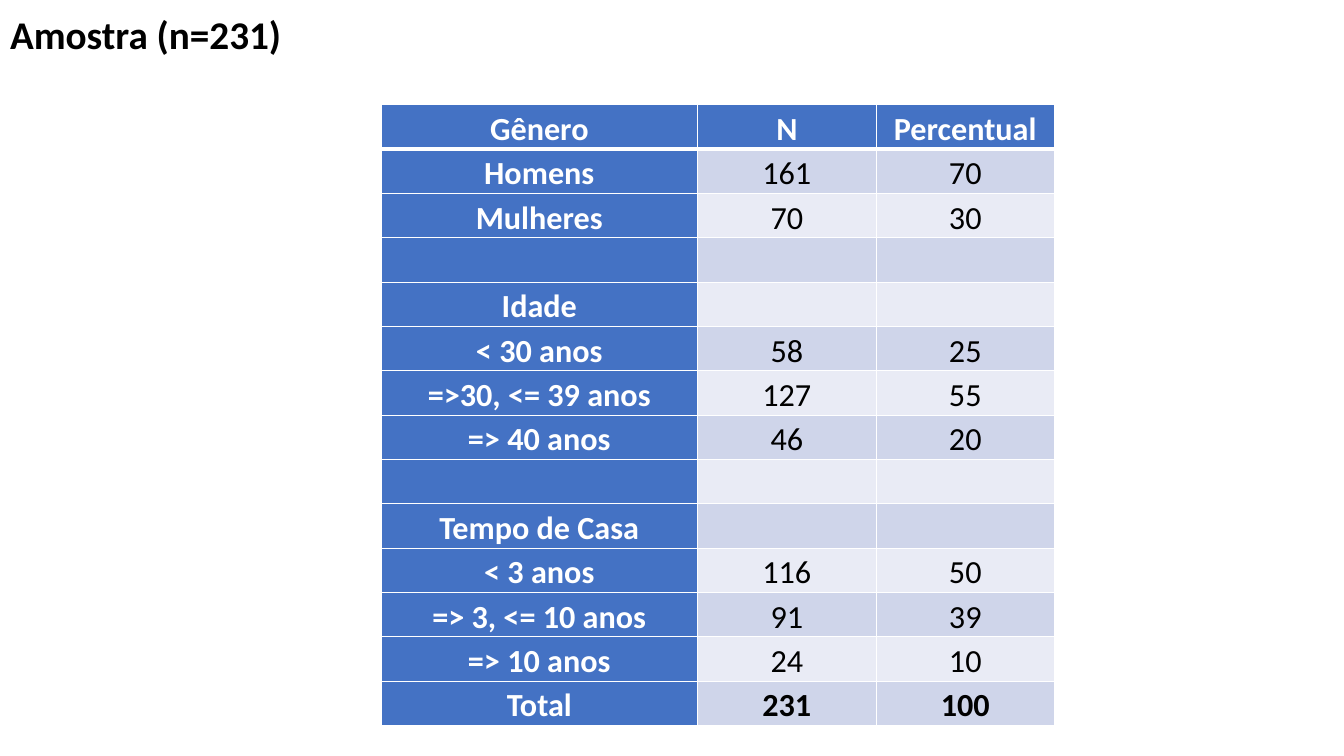
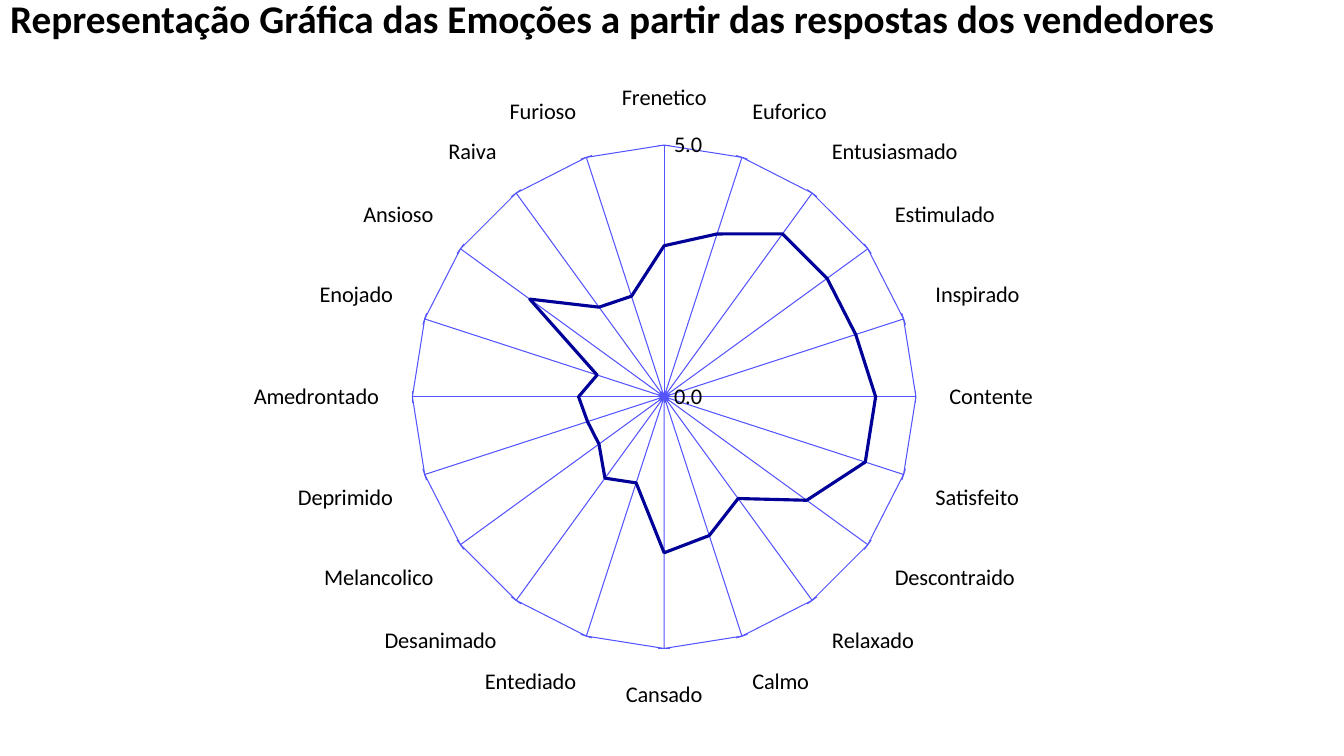
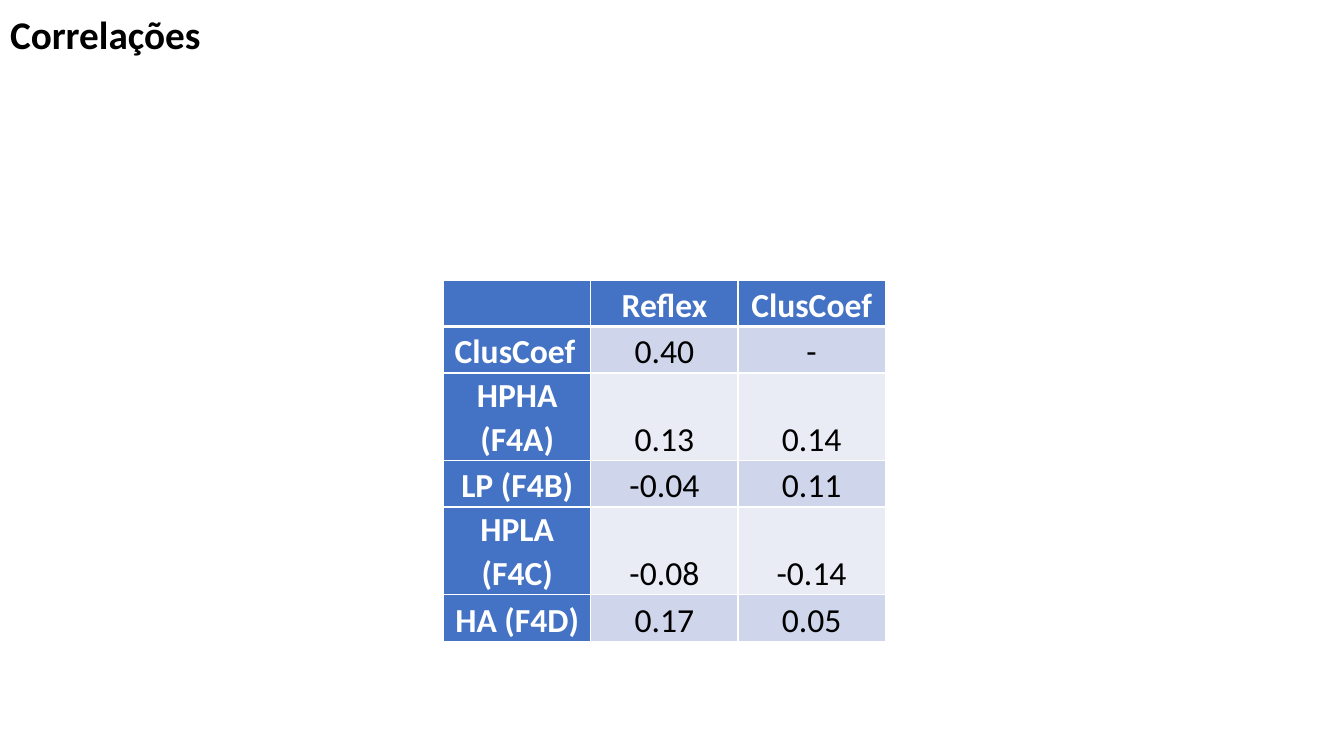
from dataclasses import dataclass

from lxml import etree
from pptx import Presentation
from pptx.chart.data import CategoryChartData
from pptx.dml.color import RGBColor
from pptx.enum.chart import XL_CHART_TYPE, XL_MARKER_STYLE, XL_TICK_MARK
from pptx.enum.text import MSO_ANCHOR as ANCHOR, MSO_AUTO_SIZE, PP_ALIGN as ALIGN
from pptx.oxml import parse_xml
from pptx.oxml.ns import nsdecls, qn
from pptx.util import Inches, Pt

BLACK = RGBColor(0x00, 0x00, 0x00)
WHITE = RGBColor(0xFF, 0xFF, 0xFF)
BLUE = RGBColor(0x44, 0x72, 0xC4)
BAND_DARK = RGBColor(0xCF, 0xD5, 0xEA)
BAND_LIGHT = RGBColor(0xE9, 0xEB, 0xF5)
GRID_BLUE = RGBColor(0x53, 0x53, 0xFF)
NAVY = RGBColor(0x00, 0x00, 0x99)
FONT = "Calibri"
TITLE_ONLY = 5


@dataclass
class TableSpec:
    """Contents and measures of one table, lengths in inches."""
    left: float
    top: float
    widths: list[float]
    row_height: float
    size: int
    inset: float
    rows: list[tuple[str, ...]]
    left_labels: tuple[str, ...] = ()


SAMPLE = TableSpec(3.78, 1.04, [3.14, 1.77, 1.77], 0.44, 23, 0.1, [
    ("Gênero", "N", "Percentual"),
    ("Homens", "161", "70"),
    ("Mulheres", "70", "30"),
    ("", "", ""),
    ("Idade", "", ""),
    ("< 30 anos", "58", "25"),
    ("=>30, <= 39 anos", "127", "55"),
    ("=> 40 anos", "46", "20"),
    ("", "", ""),
    ("Tempo de Casa", "", ""),
    ("< 3 anos", "116", "50"),
    ("=> 3, <= 10 anos", "91", "39"),
    ("=> 10 anos", "24", "10"),
    ("Total", "231", "100"),
])

CORRELATIONS = TableSpec(4.4, 2.78, [1.46] * 3, 0.46, 24, 0.11, [
    ("", "Reflex", "ClusCoef"),
    ("ClusCoef", "0.40", "-"),
    ("HPHA (F4A)", "0.13", "0.14"),
    ("LP (F4B)", "-0.04", "0.11"),
    ("HPLA (F4C)", "-0.08", "-0.14"),
    ("HA (F4D)", "0.17", "0.05"),
], left_labels=("ClusCoef",))

EMOTIONS = {
    "Frenetico": 3, "Euforico": 3.4, "Entusiasmado": 4, "Estimulado": 4,
    "Inspirado": 4, "Contente": 4.2, "Satisfeito": 4.2, "Descontraido": 3.5,
    "Relaxado": 2.5, "Calmo": 2.9, "Cansado": 3.1, "Entediado": 1.8,
    "Desanimado": 2, "Melancolico": 1.6, "Deprimido": 1.6, "Amedrontado": 1.7,
    "Enojado": 1.4, "Ansioso": 3.3, "Raiva": 2.2, "Furioso": 2.1,
}


def style_font(font, size: float, color: RGBColor, bold: bool = False) -> None:
    """Set face, size, colour and weight of a font."""
    font.name, font.size, font.bold = FONT, Pt(size), bold
    font.color.rgb = color


def add_titled_slide(prs, title: str, at_top: bool = False):
    """Add a slide with the shared title style."""
    slide = prs.slides.add_slide(prs.slide_layouts[TITLE_ONLY])
    sp = slide.shapes.title
    sp.left, sp.top, sp.width, sp.height = (Inches(v) for v in (0, 0, 12.91, 0.72))
    tf = sp.text_frame
    tf.text = title
    tf.word_wrap = True
    tf.auto_size = MSO_AUTO_SIZE.NONE
    tf.vertical_anchor = ANCHOR.MIDDLE
    if at_top:
        tf.vertical_anchor = ANCHOR.TOP
        tf.margin_top = 0
    p = tf.paragraphs[0]
    p.alignment = ALIGN.LEFT
    p.line_spacing = 0.9
    style_font(p.runs[0].font, 28, BLACK, bold=True)
    return slide


def set_borders(cell, top: float, bottom: float) -> None:
    """Give a cell white borders; the sides are one point wide."""
    tc_pr = cell._tc.get_or_add_tcPr()
    for side, width in (("L", 1), ("R", 1), ("T", top), ("B", bottom)):
        tc_pr.append(parse_xml(
            f'<a:ln{side} {nsdecls("a")} w="{Pt(width)}"><a:solidFill>'
            f'<a:srgbClr val="{WHITE}"/></a:solidFill></a:ln{side}>'))


def add_banded_table(slide, spec: TableSpec) -> None:
    """Draw a table with blue headings and banded values."""
    n_rows, n_cols = len(spec.rows), len(spec.widths)
    table = slide.shapes.add_table(
        n_rows, n_cols, Inches(spec.left), Inches(spec.top),
        Inches(sum(spec.widths)), Inches(spec.row_height * n_rows)).table
    table.first_col = True
    for column, width in zip(table.columns, spec.widths):
        column.width = Inches(width)
    for i, texts in enumerate(spec.rows):
        table.rows[i].height = Inches(spec.row_height)
        for j, text in enumerate(texts):
            cell = table.cell(i, j)
            heading = i == 0 or j == 0
            set_borders(cell, 3 if i == 1 else 1, 3 if i == 0 else 1)
            cell.fill.solid()
            cell.fill.fore_color.rgb = (
                BLUE if heading else BAND_DARK if i % 2 else BAND_LIGHT)
            cell.vertical_anchor = ANCHOR.BOTTOM
            cell.margin_left = cell.margin_right = Inches(spec.inset)
            cell.margin_top = cell.margin_bottom = 0
            if not text:
                continue
            cell.text_frame.text = text
            p = cell.text_frame.paragraphs[0]
            left = j == 0 and text in spec.left_labels
            p.alignment = ALIGN.LEFT if left else ALIGN.CENTER
            p.line_spacing = 1.07
            style_font(p.runs[0].font, spec.size, WHITE if heading else BLACK,
                       bold=heading or texts[0] == "Total")


def place_plot(chart, x: float, y: float, w: float, h: float) -> None:
    """Fix the inner plot area, as fractions of the chart."""
    area = chart._chartSpace.find(".//" + qn("c:plotArea"))
    for old in area.findall(qn("c:layout")):
        area.remove(old)
    layout = etree.Element(qn("c:layout"))
    manual = etree.SubElement(layout, qn("c:manualLayout"))
    for tag, val in (("layoutTarget", "inner"), ("xMode", "edge"), ("yMode", "edge"),
                     ("x", x), ("y", y), ("w", w), ("h", h)):
        etree.SubElement(manual, qn("c:" + tag)).set("val", str(val))
    area.insert(0, layout)


def style_line(line, color: RGBColor, width: float) -> None:
    """Set colour and width of a chart line."""
    line.color.rgb = color
    line.width = Pt(width)


def add_emotion_radar(slide) -> None:
    """Draw the radar chart of the emotions."""
    data = CategoryChartData()
    data.categories = list(EMOTIONS)
    data.add_series("Series 1", list(EMOTIONS.values()))
    chart = slide.shapes.add_chart(
        XL_CHART_TYPE.RADAR, Inches(1.6), Inches(0.64), Inches(9.5), Inches(6.66),
        data).chart
    chart.has_legend = chart.has_title = False
    style_font(chart.font, 16, BLACK)
    place_plot(chart, 0.26, 0.12, 0.53, 0.75)

    names, scale = chart.category_axis, chart.value_axis
    names.has_major_gridlines = False
    names.major_tick_mark = XL_TICK_MARK.NONE
    scale.minimum_scale, scale.maximum_scale, scale.major_unit = 0, 5, 5
    scale.has_major_gridlines = True
    scale.major_tick_mark = XL_TICK_MARK.INSIDE
    for axis in (names, scale):
        style_font(axis.tick_labels.font, 16, BLACK)
    scale.tick_labels.number_format = "0.0"
    scale.tick_labels.number_format_is_linked = False
    style_line(names.format.line, RGBColor(0xD9, 0xD9, 0xD9), 0.75)
    style_line(scale.format.line, GRID_BLUE, 0.75)
    style_line(scale.major_gridlines.format.line, GRID_BLUE, 0.75)

    series = chart.plots[0].series[0]
    series.smooth = False
    series.marker.style = XL_MARKER_STYLE.NONE
    style_line(series.format.line, NAVY, 2.25)


def main() -> None:
    """Build and save the three slides."""
    prs = Presentation()
    prs.slide_width, prs.slide_height = Inches(13.33), Inches(7.5)
    add_banded_table(add_titled_slide(prs, "Amostra (n=231)"), SAMPLE)
    add_emotion_radar(add_titled_slide(
        prs, "Representação Gráfica das Emoções a partir das respostas dos vendedores",
        at_top=True))
    add_banded_table(add_titled_slide(prs, "Correlações"), CORRELATIONS)
    prs.save("out.pptx")


main()
